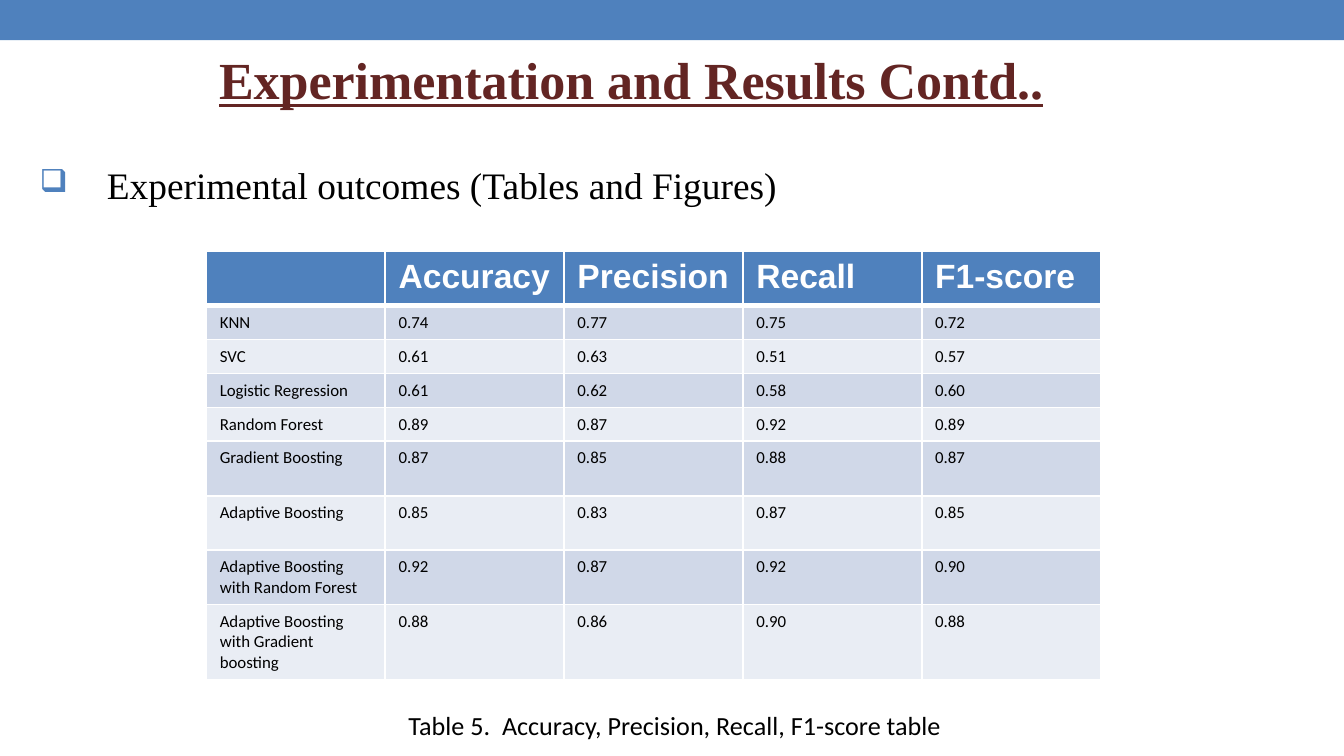
"""Build a results slide with a table of classifier scores."""
from lxml import etree
from pptx import Presentation
from pptx.dml.color import RGBColor
from pptx.enum.shapes import MSO_SHAPE
from pptx.enum.text import MSO_ANCHOR, MSO_AUTO_SIZE, PP_ALIGN
from pptx.oxml.ns import qn
from pptx.util import Cm, Pt

RECTANGLE = MSO_SHAPE.RECTANGLE
MIDDLE = MSO_ANCHOR.MIDDLE
CENTER = PP_ALIGN.CENTER
NO_FIT = MSO_AUTO_SIZE.NONE
GROW = MSO_AUTO_SIZE.SHAPE_TO_FIT_TEXT

BLUE = RGBColor(0x4F, 0x81, 0xBD)
MAROON = RGBColor(0x63, 0x25, 0x23)
BLACK = RGBColor(0, 0, 0)
WHITE = RGBColor(0xFF, 0xFF, 0xFF)
BAND_DARK = RGBColor(0xD0, 0xD8, 0xE8)
BAND_LIGHT = RGBColor(0xE9, 0xED, 0xF4)

SCORES = [
    ("", "Accuracy", "Precision", "Recall", "F1-score"),
    ("KNN", "0.74", "0.77", "0.75", "0.72"),
    ("SVC", "0.61", "0.63", "0.51", "0.57"),
    ("Logistic Regression", "0.61", "0.62", "0.58", "0.60"),
    ("Random Forest", "0.89", "0.87", "0.92", "0.89"),
    ("Gradient Boosting", "0.87", "0.85", "0.88", "0.87"),
    ("Adaptive Boosting", "0.85", "0.83", "0.87", "0.85"),
    ("Adaptive Boosting with Random Forest", "0.92", "0.87", "0.92", "0.90"),
    ("Adaptive Boosting with Gradient boosting", "0.88", "0.86", "0.90", "0.88"),
]
ROW_HEIGHTS = [1.03] + [0.64] * 4 + [1.03] * 3 + [1.42]
COLUMN_WIDTH = 3.38


def style_text(para, font_name, size, color, bold=False):
    font = para.font
    font.name, font.size, font.bold = font_name, Pt(size), bold
    font.color.rgb = color


def add_border(cell, side, width):
    properties = cell._tc.get_or_add_tcPr()
    line = etree.SubElement(properties, qn(f"a:ln{side}"), w=str(Pt(width)))
    fill = etree.SubElement(line, qn("a:solidFill"))
    etree.SubElement(fill, qn("a:srgbClr"), val=str(WHITE))


deck = Presentation()
deck.slide_width, deck.slide_height = Cm(25.4), Cm(14.29)
page = deck.slides.add_slide(deck.slide_layouts[5])

bar = page.shapes.add_shape(RECTANGLE, 0, 0, Cm(25.4), Cm(0.76))
bar.shadow.inherit = False
bar.fill.solid()
bar.fill.fore_color.rgb = BLUE
bar.line.fill.background()

title = page.shapes.title
title.left, title.top, title.width, title.height = Cm(0.5), Cm(0.46), Cm(22.86), Cm(2.06)
title.text_frame.text = "Experimentation and Results Contd.."
title.text_frame.auto_size = NO_FIT
title.text_frame.vertical_anchor = MIDDLE
para = title.text_frame.paragraphs[0]
para.alignment = CENTER
style_text(para, "Times New Roman", 27.9, MAROON, bold=True)
para.font.underline = True

body = page.shapes.add_textbox(Cm(0.5), Cm(2.95), Cm(23.62), Cm(11.34))
body.text_frame.word_wrap = True
para = body.text_frame.paragraphs[0]
para.text = "Experimental outcomes (Tables and Figures)"
properties = para._p.get_or_add_pPr()
properties.set("marL", str(Cm(1.27)))
properties.set("indent", str(-Cm(1.27)))
bullet_color = etree.SubElement(properties, qn("a:buClr"))
etree.SubElement(bullet_color, qn("a:srgbClr"), val=str(BLUE))
etree.SubElement(properties, qn("a:buSzPct"), val="85000")
etree.SubElement(properties, qn("a:buChar"), char="❑")
style_text(para, "Times New Roman", 20, BLACK)

table = page.shapes.add_table(
    len(SCORES), len(SCORES[0]), Cm(3.9), Cm(4.75),
    Cm(COLUMN_WIDTH * len(SCORES[0])), Cm(sum(ROW_HEIGHTS))).table
for column in table.columns:
    column.width = Cm(COLUMN_WIDTH)
for row_number, (height, values) in enumerate(zip(ROW_HEIGHTS, SCORES)):
    table.rows[row_number].height = Cm(height)
    is_header = row_number == 0
    band = BLUE if is_header else BAND_DARK if row_number % 2 else BAND_LIGHT
    for column_number, value in enumerate(values):
        cell = table.cell(row_number, column_number)
        for side in "LRTB":
            under_header = (row_number, side) in ((0, "B"), (1, "T"))
            add_border(cell, side, 3 if under_header else 1)
        cell.fill.solid()
        cell.fill.fore_color.rgb = band
        cell.text = value
        para = cell.text_frame.paragraphs[0]
        if is_header:
            style_text(para, "Arial", 18, WHITE, bold=True)
        else:
            style_text(para, "Calibri", 9, BLACK)

caption = page.shapes.add_textbox(Cm(7.47), Cm(13.28), Cm(10.7), Cm(0.86))
caption.text_frame.word_wrap = False
caption.text_frame.auto_size = GROW
para = caption.text_frame.paragraphs[0]
para.text = "Table 5.  Accuracy, Precision, Recall, F1-score table"
style_text(para, "Calibri", 14, BLACK)

deck.save("out.pptx")
